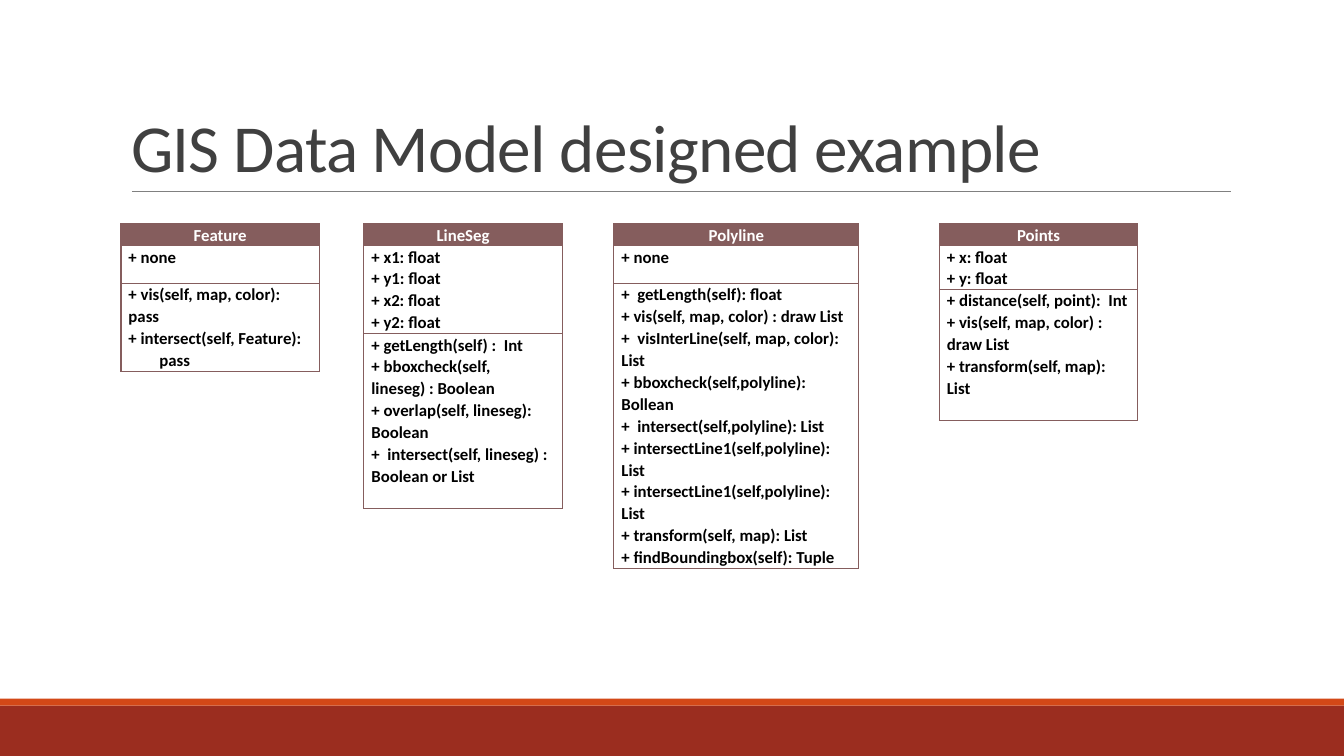
"""Build the slide of GIS class tables."""
from dataclasses import dataclass

from lxml.etree import SubElement
from pptx import Presentation
from pptx.dml.color import RGBColor
from pptx.enum.shapes import MSO_CONNECTOR, MSO_SHAPE
from pptx.enum.text import MSO_ANCHOR, MSO_AUTO_SIZE, PP_ALIGN
from pptx.oxml.ns import qn
from pptx.slide import Slide
from pptx.table import _Cell
from pptx.util import Pt

FONT = "Calibri"
BROWN = "855D5D"
WIDE, HIGH = 960, 540
TOP = 159.8
LINE = 15.7
INDENT = 22


@dataclass
class Band:
    """A full-width bar at the foot of the slide."""
    top: float
    high: float
    fill: str


@dataclass
class Model:
    """A class table: name, fields and methods."""
    name: str
    left: float
    wide: float
    rows: tuple[float, float]
    fields: list[str]
    calls: list[str]


BANDS = [Band(504, 36, "9B2D1F"), Band(499, 5, "D34817")]

MODELS = [
    Model("Feature", 86.4, 141.8, (27, 62.9), ["+ none"],
          ["+ vis(self, map, color): pass", "+ intersect(self, Feature):", "pass"]),
    Model("LineSeg", 259.9, 141.8, (62.9, 125),
          ["+ x1: float", "+ y1: float", "+ x2: float", "+ y2: float"],
          ["+ getLength(self) :  Int",
           "+ bboxcheck(self, lineseg) : Boolean",
           "+ overlap(self, lineseg):  Boolean",
           "+  intersect(self, lineseg) :  Boolean or List"]),
    Model("Polyline", 438.5, 175, (27, 203.8), ["+ none"],
          ["+  getLength(self): float",
           "+ vis(self, map, color) : draw List",
           "+  visInterLine(self, map, color): List",
           "+ bboxcheck(self,polyline): Bollean",
           "+  intersect(self,polyline): List",
           "+ intersectLine1(self,polyline):  List",
           "+ intersectLine1(self,polyline):  List",
           "+ transform(self, map): List",
           "+ findBoundingbox(self): Tuple"]),
    Model("Points", 671, 141.8, (31.4, 93.8), ["+ x: float", "+ y: float"],
          ["+ distance(self, point):  Int",
           "+ vis(self, map, color) : draw List",
           "+ transform(self, map): List"]),
]


def paint(code: str) -> RGBColor:
    """Turn a hex string into a colour."""
    return RGBColor.from_string(code)


def draw_band(slide: Slide, band: Band) -> None:
    """Draw one bar."""
    bar = slide.shapes.add_shape(MSO_SHAPE.RECTANGLE, 0, Pt(band.top),
                                 Pt(WIDE), Pt(band.high))
    bar.shadow.inherit = False
    bar.fill.solid()
    bar.fill.fore_color.rgb = paint(band.fill)
    bar.line.fill.background()


def draw_rule(slide: Slide) -> None:
    """Draw the thin line under the title."""
    rule = slide.shapes.add_connector(MSO_CONNECTOR.STRAIGHT, Pt(94.3), Pt(136.8),
                                      Pt(879.1), Pt(136.8))
    rule.line.color.rgb = paint("808080")
    rule.line.width = Pt(0.5)
    SubElement(rule._element.spPr, qn("a:effectLst"))


def set_title(slide: Slide, text: str) -> None:
    """Place and format the title."""
    title = slide.shapes.title
    title.left, title.top = Pt(86.4), Pt(22.3)
    title.width, title.height = Pt(792), Pt(114.5)
    frame = title.text_frame
    frame.text = text
    frame.word_wrap = True
    frame.auto_size = MSO_AUTO_SIZE.NONE
    frame.vertical_anchor = MSO_ANCHOR.BOTTOM
    para = frame.paragraphs[0]
    para.alignment = PP_ALIGN.LEFT
    para.line_spacing = 0.85
    run = para.runs[0]
    run.font.name, run.font.size = FONT, Pt(48)
    run.font.color.rgb = paint("404040")
    run._r.get_or_add_rPr().set("spc", "-50")


def add_edge(cell: _Cell) -> None:
    """Give a cell a brown border on all sides."""
    props = cell._tc.get_or_add_tcPr()
    for side in ("lnL", "lnR", "lnT", "lnB"):
        edge = SubElement(props, qn(f"a:{side}"), w=str(Pt(1)))
        fill = SubElement(edge, qn("a:solidFill"))
        SubElement(fill, qn("a:srgbClr"), val=BROWN)


def fill_cell(cell: _Cell, lines: list[str], head: bool) -> None:
    """Write and format the lines of a cell."""
    add_edge(cell)
    if head:
        cell.fill.solid()
        cell.fill.fore_color.rgb = paint(BROWN)
    else:
        cell.fill.background()
    cell.margin_left = cell.margin_right = Pt(5.4)
    cell.margin_top = cell.margin_bottom = 0
    cell.text_frame.text = "\n".join(lines)
    for para in cell.text_frame.paragraphs:
        para.alignment = PP_ALIGN.CENTER if head else PP_ALIGN.LEFT
        para.line_spacing = 1.07
        if not head and not para.text.startswith("+"):
            para._p.get_or_add_pPr().set("marL", str(Pt(INDENT)))
        for run in para.runs:
            run.font.name, run.font.size = FONT, Pt(12)
            run.font.bold = True
            run.font.color.rgb = paint("FFFFFF" if head else "000000")


def draw_model(slide: Slide, model: Model) -> None:
    """Draw one class table."""
    highs = (LINE, *model.rows)
    grid = slide.shapes.add_table(3, 1, Pt(model.left), Pt(TOP),
                                  Pt(model.wide), Pt(sum(highs))).table
    grid.first_row = grid.horz_banding = False
    parts = ([model.name], model.fields, model.calls)
    for row, (high, lines) in enumerate(zip(highs, parts)):
        grid.rows[row].height = Pt(high)
        fill_cell(grid.cell(row, 0), lines, row == 0)


def main() -> None:
    """Build and save the slide."""
    deck = Presentation()
    deck.slide_width, deck.slide_height = Pt(WIDE), Pt(HIGH)
    slide = deck.slides.add_slide(deck.slide_layouts[5])
    for band in BANDS:
        draw_band(slide, band)
    draw_rule(slide)
    set_title(slide, "GIS Data Model designed example")
    for model in MODELS:
        draw_model(slide, model)
    deck.save("out.pptx")


if __name__ == "__main__":
    main()
